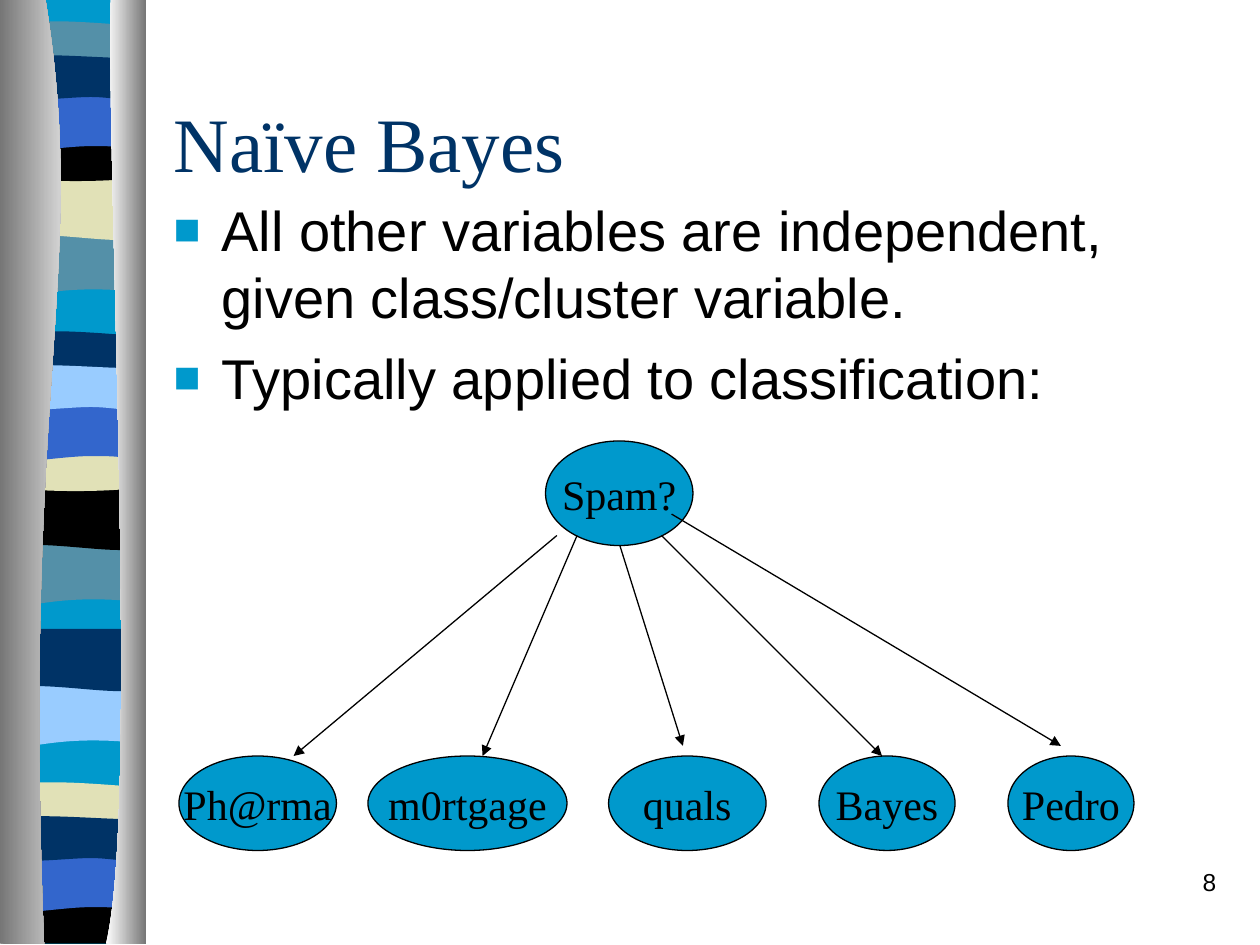
from lxml import etree
from pptx import Presentation
from pptx.dml.color import RGBColor
from pptx.enum.shapes import MSO_CONNECTOR, MSO_SHAPE
from pptx.enum.text import MSO_ANCHOR, PP_ALIGN
from pptx.oxml.ns import qn
from pptx.util import Inches, Pt

COLORS = {
    "cyan": "0099CC", "teal": "5490A8", "navy": "003366", "blue": "3366CC",
    "black": "000000", "cream": "E1E1B7", "sky": "99CCFF",
    "gray": "767676", "white": "FFFFFF",
}
SERIF, SANS = "Times New Roman", "Arial"
TOP, BOTTOM = -0.01, 7.49

FLAT = [(0.06, 0), (1.14, 0)]
CREST = [(0.06, 0), (0.12, -0.05), (0.29, -0.04), (0.47, -0.04),
         (0.65, -0.04), (1, -0.01), (1.14, 0)]
RISE = [(0.06, 0), (0.21, -0.05), (0.79, 0), (0.97, 0),
        (1.15, 0), (1.1, 0), (1.14, 0)]
RIPPLE = [(0.06, 0), (0.17, 0.05), (0.54, 0), (0.72, 0),
          (0.9, 0), (1.07, 0.05), (1.14, 0)]
ARCH = [(0.06, 0), (0.22, 0), (0.54, -0.05), (0.72, -0.05),
        (0.9, -0.05), (0.97, -0.05), (1.14, 0)]
SAG = [(0.06, 0), (0.24, 0.05), (0.96, 0.05), (1.14, 0)]
DIP = [(0.06, 0), (0.72, 0.05), (0.91, 0), (1.14, 0)]
SWELL = [(0.06, 0), (0.39, -0.06), (0.96, 0.08), (1.14, 0)]
ROLL = [(0.06, 0), (0.24, 0.08), (0.39, -0.08), (1.14, 0)]

STRIPES = {
    "roll": (1.64, FLAT, 2.11, ROLL),
    "swell": (1.2, FLAT, 1.67, SWELL),
    "crest": (0, CREST, 0.24, SAG),
    "dip": (0.87, DIP, 1.19, SAG),
    "foot": (0.87, DIP, 1.24, FLAT),
    "arch": (0.53, FLAT, 1, ARCH),
    "rise": (0.25, RISE, 0.56, RIPPLE),
}
CYCLES = [
    (0.21, {"roll": "teal", "swell": "cream", "crest": "teal",
            "dip": "black", "arch": "blue", "rise": "navy"}),
    (2.67, {"roll": "teal", "swell": "black", "crest": "navy",
            "dip": "cream", "arch": "blue", "rise": "sky"}),
    (3.79, {"roll": "sky", "swell": "navy"}),
    (6.25, {"crest": "cream", "foot": "black", "arch": "blue", "rise": "navy"}),
]
COLUMNS = [
    (0, [(0.36, TOP), (0.71, 2.16), (0.17, 2.96), (0.35, BOTTOM)], ("gray", "white")),
    (1.16, [(0.88, TOP), (0.84, 1.25), (1.11, 6.46), (0.84, BOTTOM)], ("white", "gray")),
]
WORDS = [("Ph@rma", 1.42, 1.25), ("m0rtgage", 2.92, 1.58), ("quals", 4.83, 1.25),
         ("Bayes", 6.5, 1.08), ("Pedro", 8, 1)]
ARROWS = [((4.42, 4.25), (2.33, 6)), ((4.58, 4.25), (3.83, 6)),
          ((4.92, 4.33), (5.42, 5.92)), ((5.25, 4.25), (7, 6)),
          ((5.33, 4.08), (8.42, 5.92))]


def color(name):
    return RGBColor.from_string(COLORS[name])


def bend_edge(segments):
    for start in range(0, len(segments) - 2, 3):
        curve = etree.Element(qn("a:cubicBezTo"))
        segments[start].addprevious(curve)
        for segment in segments[start:start + 3]:
            curve.append(segment[0])
            segment.getparent().remove(segment)


def add_outline(slide, first_edge, second_edge):
    corners = [(Inches(x), Inches(y)) for x, y in first_edge + second_edge]
    builder = slide.shapes.build_freeform(*corners[0])
    builder.add_line_segments(corners[1:], close=True)
    shape = builder.convert_to_shape()
    segments = list(shape._element.spPr.iter(qn("a:lnTo")))
    bend_edge(segments[:len(first_edge) - 1])
    bend_edge(segments[len(first_edge):])
    shape.shadow.inherit = False
    shape.line.fill.background()
    return shape


def add_stripe(slide, fill, top, top_wave, bottom, bottom_wave):
    upper = [(x, top + dy) for x, dy in top_wave]
    lower = [(x, bottom + dy) for x, dy in reversed(bottom_wave)]
    shape = add_outline(slide, upper, lower)
    shape.fill.solid()
    shape.fill.fore_color.rgb = color(fill)


def add_column(slide, side, edge, shades):
    shape = add_outline(slide, edge, [(side, BOTTOM), (side, TOP)])
    shape.fill.gradient()
    shape.fill.gradient_angle = 0
    for stop, shade in zip(shape.fill.gradient_stops, shades):
        stop.color.rgb = color(shade)


def style_paragraph(paragraph, size, font, shade="black", align=PP_ALIGN.LEFT, before=0):
    paragraph.alignment = align
    paragraph.space_before = Pt(before)
    for run in paragraph.runs:
        run.font.size = Pt(size)
        run.font.name = font
        run.font.color.rgb = color(shade)


def add_text(slide, box, text, anchor=MSO_ANCHOR.TOP, **style):
    text_frame = slide.shapes.add_textbox(*map(Inches, box)).text_frame
    text_frame.word_wrap = True
    text_frame.vertical_anchor = anchor
    text_frame.text = text
    for paragraph in text_frame.paragraphs:
        style_paragraph(paragraph, **style)
    return text_frame


def add_bullet(paragraph):
    properties = paragraph._p.get_or_add_pPr()
    properties.set("marL", str(Inches(0.38)))
    properties.set("indent", str(-Inches(0.38)))
    bullet_color = etree.SubElement(properties, qn("a:buClr"))
    etree.SubElement(bullet_color, qn("a:srgbClr"), val=COLORS["cyan"])
    etree.SubElement(properties, qn("a:buSzPct"), val="80000")
    etree.SubElement(properties, qn("a:buFont"), typeface=SANS)
    etree.SubElement(properties, qn("a:buChar"), char="■")


def add_node(slide, text, left, top, width, height):
    shape = slide.shapes.add_shape(MSO_SHAPE.OVAL, *map(Inches, (left, top, width, height)))
    shape.shadow.inherit = False
    shape.fill.solid()
    shape.fill.fore_color.rgb = color("cyan")
    shape.line.color.rgb = color("black")
    shape.line.width = Pt(0.75)
    text_frame = shape.text_frame
    text_frame.word_wrap = False
    text_frame.vertical_anchor = MSO_ANCHOR.MIDDLE
    text_frame.text = text
    style_paragraph(text_frame.paragraphs[0], 24, SERIF, align=PP_ALIGN.CENTER)


def add_arrow(slide, start, end):
    connector = slide.shapes.add_connector(MSO_CONNECTOR.STRAIGHT, *map(Inches, start + end))
    connector.line.color.rgb = color("black")
    connector.line.width = Pt(0.75)
    etree.SubElement(connector.line._get_or_add_ln(), qn("a:tailEnd"), type="triangle")
    etree.SubElement(connector._element.spPr, qn("a:effectLst"))


def main():
    presentation = Presentation()
    presentation.slide_width, presentation.slide_height = Inches(10), Inches(7.5)
    slide = presentation.slides.add_slide(presentation.slide_layouts[6])

    add_stripe(slide, "cyan", TOP, FLAT, BOTTOM, FLAT)
    for base, fills in CYCLES:
        for kind, (top, top_wave, bottom, bottom_wave) in STRIPES.items():
            if kind in fills:
                add_stripe(slide, fills[kind], base + top, top_wave,
                           base + bottom, bottom_wave)
    for column in COLUMNS:
        add_column(slide, *column)

    add_text(slide, (1.28, 0.5, 8.5, 1.25), "Naïve Bayes", MSO_ANCHOR.MIDDLE,
             size=44, font=SERIF, shade="navy")
    body = add_text(slide, (1.28, 1.5, 8.5, 5.17),
                    "All other variables are independent, given class/cluster variable.\n"
                    "Typically applied to classification:",
                    size=32, font=SANS, before=8)
    for paragraph in body.paragraphs:
        add_bullet(paragraph)

    add_node(slide, "Spam?", 4.33, 3.5, 1.17, 0.83)
    for word, left, width in WORDS:
        add_node(slide, word, left, 6, width, 0.75)
    for start, end in ARROWS:
        add_arrow(slide, start, end)
    add_text(slide, (7.67, 6.83, 2.08, 0.5), "8",
             size=14, font=SANS, align=PP_ALIGN.RIGHT, before=8.8)
    presentation.save("out.pptx")


if __name__ == "__main__":
    main()
